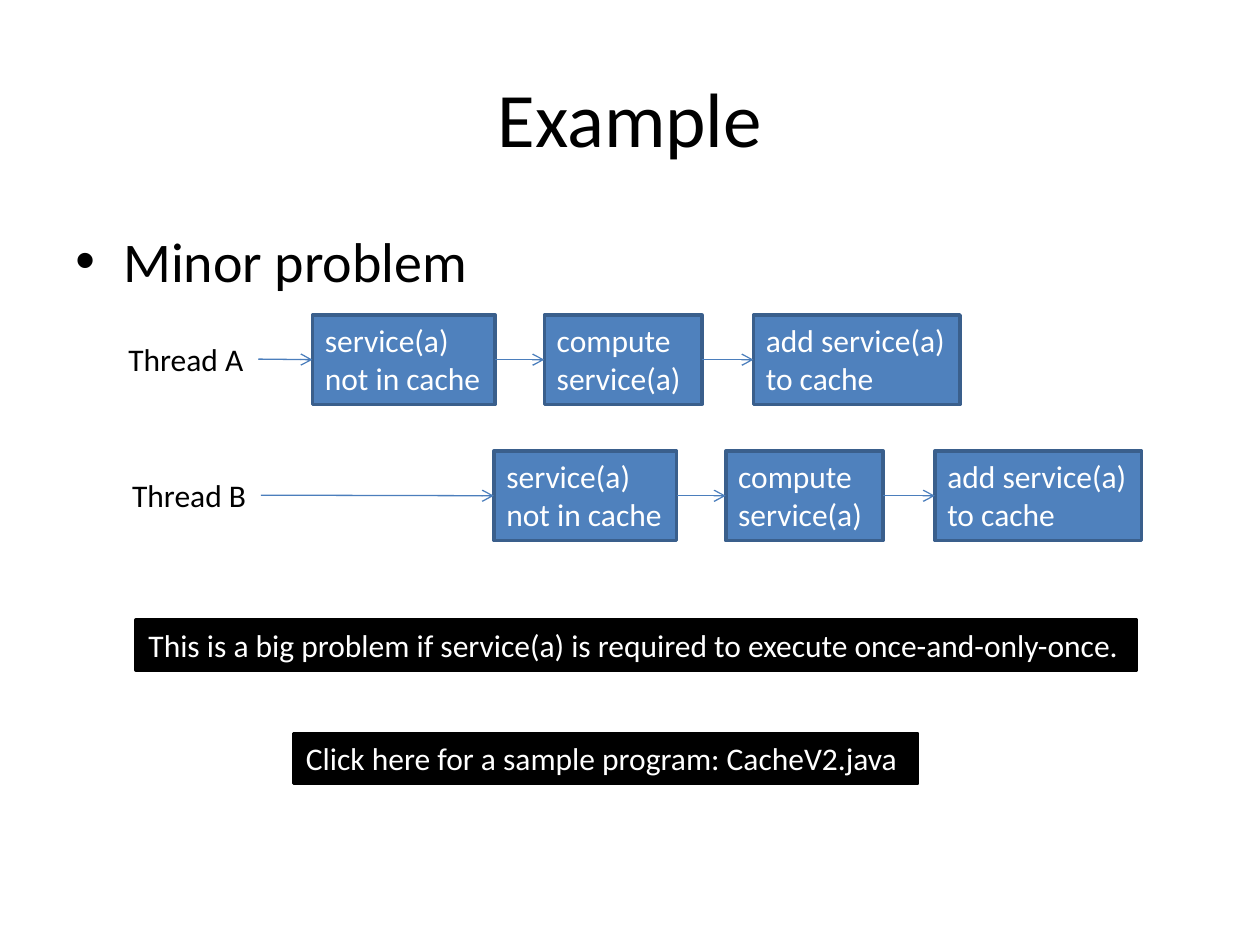
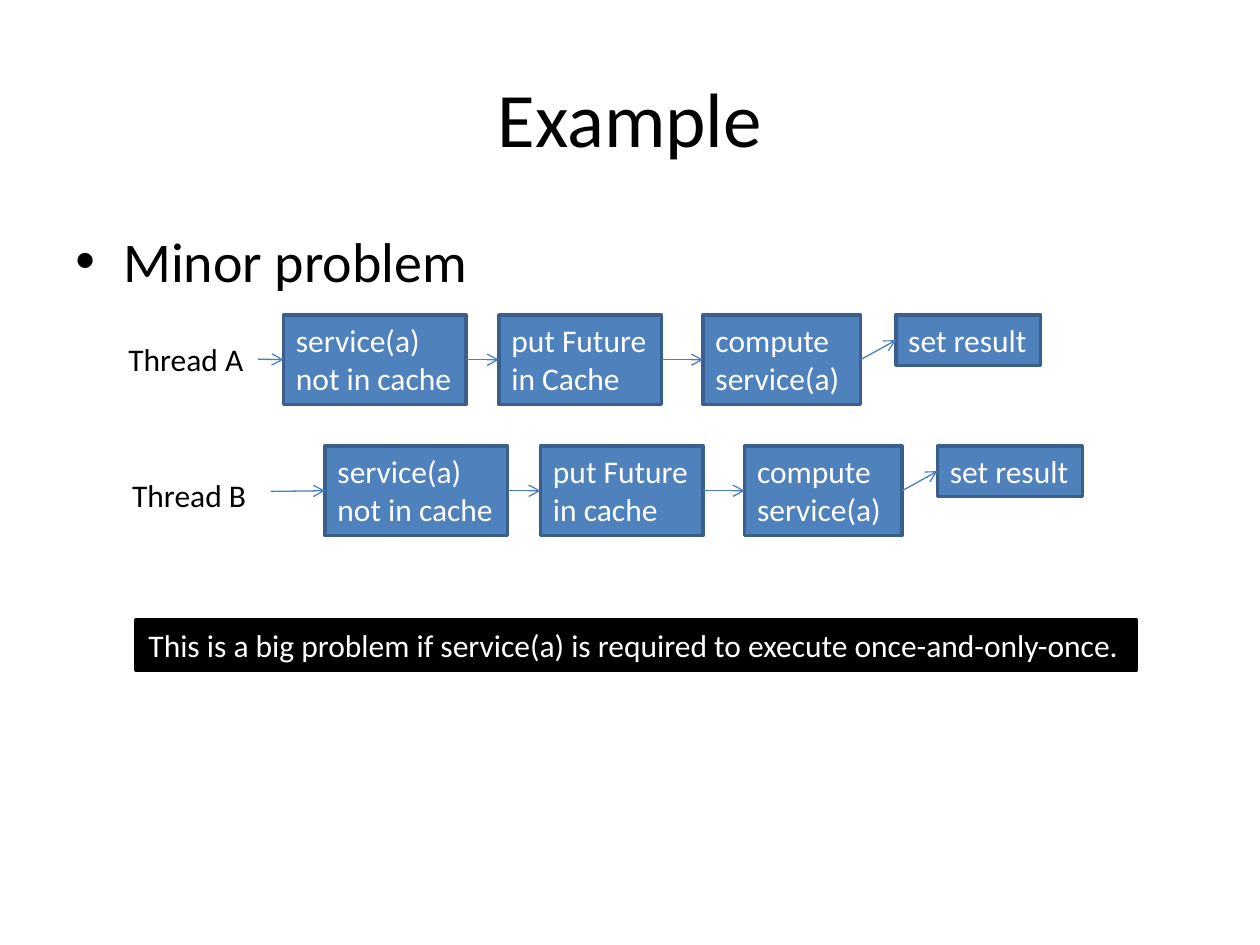
from lxml.etree import SubElement
from pptx import Presentation
from pptx.dml.color import RGBColor
from pptx.enum.shapes import MSO_CONNECTOR, MSO_SHAPE
from pptx.enum.text import MSO_ANCHOR, MSO_AUTO_SIZE, PP_ALIGN
from pptx.oxml.ns import qn
from pptx.util import Inches, Pt

COLOURS = {
    "text": "000000",
    "light": "FFFFFF",
    "step": "4F81BD",
    "step_edge": "3A5F8C",
    "arrow": "4B7EBC",
    "note": "000000",
}
FONT = "Calibri"
FITTED = {"auto_size": MSO_AUTO_SIZE.SHAPE_TO_FIT_TEXT, "word_wrap": False,
          "vertical_anchor": MSO_ANCHOR.TOP}
WRAPPED = {"word_wrap": True, "vertical_anchor": MSO_ANCHOR.TOP}
CENTRED = {"word_wrap": True, "vertical_anchor": MSO_ANCHOR.MIDDLE}

LINE_HEIGHT, STEP_HEIGHT = 0.4, 0.71
RIGHT, LEFT = 3, 1
THREADS = {"Thread A": (0.92, 2.65, 1.13), "Thread B": (0.95, 3.73, 1.12)}
WARNING = ("This is a big problem if service(a) is required to execute "
           "once-and-only-once.")

CHECK = ("service(a)\nnot in cache", 0, 1.45)
CACHE_STEPS = [
    CHECK,
    ("compute\nservice(a)", 1.84, 1.25),
    ("add service(a)\nto cache", 3.5, 1.64),
]


def future_steps(cache_word):
    """Return the steps of a lane that stores a Future before computing."""
    return [
        CHECK,
        (f"put Future\nin {cache_word}", 1.71, 1.29),
        ("compute\nservice(a)", 3.33, 1.25),
        ("set result", 4.86, 1.15),
    ]


def colour(role):
    """Return the colour of a role."""
    return RGBColor.from_string(COLOURS[role])


def apply_format(target, values):
    """Set each named attribute of the target."""
    for attribute, value in values.items():
        setattr(target, attribute, value)


def write(frame, text, layout, size=18, role="text", align=PP_ALIGN.LEFT):
    """Fill a text frame, one paragraph for each line of text."""
    apply_format(frame, layout)
    frame.text = text
    for paragraph in frame.paragraphs:
        paragraph.alignment = align
        for run in paragraph.runs:
            apply_format(run.font, {"name": FONT, "size": Pt(size)})
            run.font.color.rgb = colour(role)


def add_text(slide, text, place, layout, **style):
    """Add a plain text box."""
    box = slide.shapes.add_textbox(*map(Inches, place))
    write(box.text_frame, text, layout, **style)
    return box


def add_box(slide, text, place, fill, edge):
    """Add a filled rectangle with light text."""
    box = slide.shapes.add_shape(MSO_SHAPE.RECTANGLE, *map(Inches, place))
    box.shadow.inherit = False
    box.fill.solid()
    box.fill.fore_color.rgb = colour(fill)
    box.line.color.rgb = colour(edge)
    box.line.width = Pt(2)
    write(box.text_frame, text, FITTED, role="light")
    return box


def add_bullet(slide, text):
    """Add the bulleted line under the title."""
    body = add_text(slide, text, (0.5, 1.75, 9, 4.95), WRAPPED, size=32)
    paragraph = body.text_frame.paragraphs[0]
    paragraph.space_before = Pt(6.4)
    properties = paragraph._p.get_or_add_pPr()
    properties.set("marL", str(Inches(0.38)))
    properties.set("indent", str(Inches(-0.38)))
    SubElement(properties, qn("a:buFont")).set("typeface", "Arial")
    SubElement(properties, qn("a:buChar")).set("char", "•")


def add_arrow(slide, source, target, start=None):
    """Join two boxes, or lead from a free start point to the target."""
    x, y = map(Inches, start or (0, 0))
    arrow = slide.shapes.add_connector(MSO_CONNECTOR.STRAIGHT, x, y, x, y)
    if start is None:
        arrow.begin_connect(source, RIGHT)
    arrow.end_connect(target, LEFT)
    arrow.line.color.rgb = colour("arrow")
    arrow.line.width = Pt(0.75)
    SubElement(arrow.line._get_or_add_ln(), qn("a:tailEnd")).set("type", "arrow")
    SubElement(arrow._element.spPr, qn("a:effectLst"))


def add_lane(slide, thread, left, top, steps, start=None):
    """Add a thread label and its chain of steps."""
    x, y, width = THREADS[thread]
    previous = add_text(slide, thread, (x, y, width, LINE_HEIGHT), FITTED)
    for text, offset, width in steps:
        height = STEP_HEIGHT if "\n" in text else LINE_HEIGHT
        step = add_box(slide, text, (left + offset, top, width, height),
                       "step", "step_edge")
        add_arrow(slide, previous, step, start)
        previous, start = step, None


def add_note(slide, text, left, top, width):
    """Add a black one-line note."""
    add_box(slide, text, (left, top, width, LINE_HEIGHT), "note", "note")


def add_example(deck):
    """Add a slide with the shared title, bullet and warning."""
    slide = deck.slides.add_slide(deck.slide_layouts[6])
    add_text(slide, "Example", (0.5, 0.3, 9, 1.25), CENTRED, size=44,
             align=PP_ALIGN.CENTER)
    add_bullet(slide, "Minor problem")
    add_note(slide, WARNING, 1.08, 4.92, 7.94)
    return slide


def main():
    """Build both example slides."""
    deck = Presentation()
    apply_format(deck, {"slide_width": Inches(10), "slide_height": Inches(7.5)})

    cache_example = add_example(deck)
    add_lane(cache_example, "Thread A", 2.48, 2.5, CACHE_STEPS)
    add_lane(cache_example, "Thread B", 3.92, 3.58, CACHE_STEPS)
    add_note(cache_example, "Click here for a sample program: CacheV2.java",
             2.33, 5.82, 4.95)

    future_example = add_example(deck)
    add_lane(future_example, "Thread A", 2.25, 2.5, future_steps("Cache"))
    add_lane(future_example, "Thread B", 2.58, 3.54, future_steps("cache"),
             start=(2.15, 3.9))

    deck.save("out.pptx")


if __name__ == "__main__":
    main()
